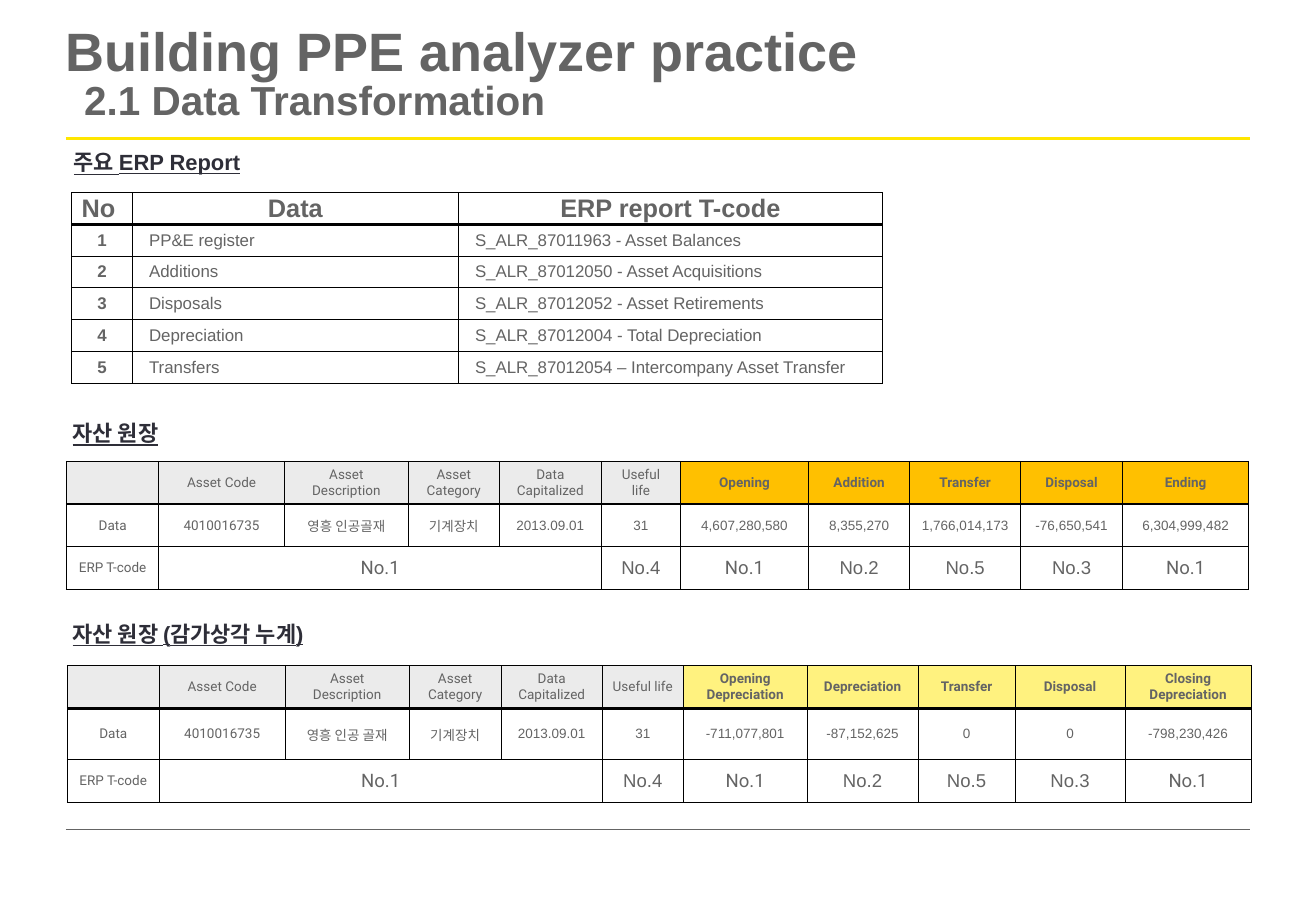
from dataclasses import dataclass

from lxml.etree import SubElement
from pptx import Presentation
from pptx.dml.color import RGBColor
from pptx.enum.shapes import MSO_CONNECTOR
from pptx.enum.text import MSO_ANCHOR, MSO_AUTO_SIZE, PP_ALIGN
from pptx.oxml.ns import qn
from pptx.util import Pt


@dataclass(frozen=True)
class Theme:
    text: str = "646464"
    heading: str = "2E2E38"
    accent: str = "FFE600"
    border: str = "000000"
    white: str = "FFFFFF"
    grey: str = "EBEBEB"
    orange: str = "FFC000"
    yellow: str = "FFF27F"
    sans: str = "Arial"
    label: str = "Roboto"
    title_size: float = 32
    subtitle_size: float = 24
    header_size: float = 15
    heading_size: float = 13
    reference_size: float = 11
    body_size: float = 10
    ledger_size: float = 8
    thin: float = 0.75
    thick: float = 1.5


class ReportSlide:
    def __init__(self, deck, theme):
        self.theme = theme
        self.slide = deck.slides.add_slide(deck.slide_layouts[5])

    def style(self, paragraph, size, face, color, bold=False, align=PP_ALIGN.LEFT):
        paragraph.alignment = align
        font = paragraph.font
        font.name, font.bold = face, bold
        font.color.rgb = RGBColor.from_string(color)
        if size:
            font.size = Pt(size)

    def insets(self, frame, side, end):
        frame.margin_left = frame.margin_right = Pt(side)
        frame.margin_top = frame.margin_bottom = Pt(end)

    def title(self, headline, section, left, top, width, height):
        title = self.slide.shapes.title
        title.left, title.top, title.width, title.height = map(Pt, (left, top, width, height))
        frame = title.text_frame
        frame.word_wrap = True
        frame.auto_size = MSO_AUTO_SIZE.NONE
        frame.vertical_anchor = MSO_ANCHOR.TOP
        self.insets(frame, 0, 0)
        paragraph = frame.paragraphs[0]
        hanging = Pt(10.8)
        properties = paragraph._p.get_or_add_pPr()
        properties.set("marL", str(hanging))
        properties.set("indent", str(-hanging))
        paragraph.line_spacing = 0.85
        self.style(paragraph, None, self.theme.sans, self.theme.text, True)
        first = paragraph.add_run()
        first.text, first.font.size = headline, Pt(self.theme.title_size)
        paragraph.add_line_break()
        second = paragraph.add_run()
        second.text, second.font.size = section, Pt(self.theme.subtitle_size)

    def rule(self, left, right, y, color, weight):
        rule = self.slide.shapes.add_connector(
            MSO_CONNECTOR.STRAIGHT, Pt(left), Pt(y), Pt(right), Pt(y))
        rule.line.color.rgb = RGBColor.from_string(color)
        rule.line.width = Pt(weight)
        SubElement(rule._element.spPr, qn("a:effectLst"))

    def heading(self, text, left, top):
        frame = self.slide.shapes.add_textbox(Pt(left), Pt(top), Pt(233), Pt(26)).text_frame
        frame.word_wrap = True
        frame.vertical_anchor = MSO_ANCHOR.MIDDLE
        self.insets(frame, 5.76, 2.88)
        paragraph = frame.paragraphs[0]
        paragraph.text = text
        paragraph.line_spacing = 0.9
        self.style(paragraph, self.theme.heading_size, self.theme.sans, self.theme.heading, True)
        paragraph.font.underline = True

    def grid(self, left, top, widths, heights):
        grid = self.slide.shapes.add_table(
            len(heights), len(widths), Pt(left), Pt(top),
            Pt(sum(widths)), Pt(sum(heights))).table
        grid.first_row = grid.horz_banding = False
        for column, width in zip(grid.columns, widths):
            column.width = Pt(width)
        for row, height in zip(grid.rows, heights):
            row.height = Pt(height)
        return grid

    def cell(self, cell, text, row, fill, size, face, bold=False,
             align=PP_ALIGN.CENTER, side=5.76, end=3):
        theme = self.theme
        top = theme.thick if row == 1 else theme.thin
        bottom = theme.thick if row == 0 else theme.thin
        edges = {"lnL": theme.thin, "lnR": theme.thin, "lnT": top, "lnB": bottom}
        self.insets(cell, side, end)
        cell.vertical_anchor = MSO_ANCHOR.MIDDLE
        for edge, weight in edges.items():
            line = SubElement(cell._tc.get_or_add_tcPr(), qn("a:" + edge), w=str(Pt(weight)))
            paint = SubElement(line, qn("a:solidFill"))
            SubElement(paint, qn("a:srgbClr"), val=theme.border)
        cell.fill.solid()
        cell.fill.fore_color.rgb = RGBColor.from_string(fill)
        cell.text_frame.text = text
        for paragraph in cell.text_frame.paragraphs:
            self.style(paragraph, size, face, theme.text, bold, align)
            if not text:
                paragraph._p.get_or_add_endParaRPr().set("sz", str(int(size * 100)))

    def report_list(self, left, top, widths, height, rows):
        theme = self.theme
        grid = self.grid(left, top, widths, [height] * len(rows))
        for r, row in enumerate(rows):
            for c, text in enumerate(row):
                listed = r > 0 and c > 0
                self.cell(grid.cell(r, c), text, r, theme.white,
                          theme.body_size if r else theme.header_size, theme.sans,
                          not listed, PP_ALIGN.LEFT if listed else PP_ALIGN.CENTER,
                          side=4.32, end=0)
                if listed:
                    grid.cell(r, c).margin_left = Pt(9.9)

    def ledger(self, left, top, widths, heights, movement_fill, movements, description, amounts):
        theme = self.theme
        rows = [
            ["", "Asset Code", "Asset Description", "Asset Category",
             "Data Capitalized", "Useful life", *movements],
            ["Data", "4010016735", description, "기계장치", "2013.09.01", "31", *amounts],
            ["ERP T-code", "No.1", "", "", "", "No.4", "No.1", "No.2", "No.5", "No.3", "No.1"],
        ]
        grid = self.grid(left, top, widths, heights)
        for r, row in enumerate(rows):
            for c, text in enumerate(row):
                movement = r == 0 and c > 5
                fill = movement_fill if movement else theme.white if r else theme.grey
                labelled = r == 0 or (r == 1 and c < 3) or (r == 2 and (c == 0 or text == "No.1"))
                size = theme.reference_size if text.startswith("No.") else theme.ledger_size
                self.cell(grid.cell(r, c), text, r, fill, size,
                          theme.label if labelled else theme.sans, movement)
        grid.cell(2, 1).merge(grid.cell(2, 4))


def main():
    theme = Theme()
    deck = Presentation()
    deck.slide_width, deck.slide_height = Pt(780), Pt(540)
    page = ReportSlide(deck, theme)
    page.rule(39, 741, 82, theme.accent, theme.thick)
    page.rule(39, 741, 491.5, theme.text, 0.25)
    page.title("Building PPE analyzer practice", "2.1 Data Transformation", 39, 16, 702, 67.5)

    page.heading("주요 ERP Report", 38, 84)
    page.report_list(42.5, 114.2, [36, 193.2, 251.4], 18.84, [
        ("No ", "Data", "ERP report T-code"),
        ("1", "PP&E register", "S_ALR_87011963 - Asset Balances"),
        ("2", "Additions", "S_ALR_87012050 - Asset Acquisitions"),
        ("3", "Disposals", "S_ALR_87012052 - Asset Retirements"),
        ("4", "Depreciation", "S_ALR_87012004 - Total Depreciation"),
        ("5", "Transfers", "S_ALR_87012054 – Intercompany Asset Transfer"),
    ])

    page.heading("자산 원장", 37.4, 244.5)
    page.ledger(
        39.4, 273.5, [54.8, 74.4, 73.5, 53.9, 60.6, 46.8, 76, 59.9, 65.8, 60.4, 74.8],
        [25.3] * 3, theme.orange,
        ["Opening", "Addition", "Transfer", "Disposal", "Ending"], "영흥 인공골재",
        ["4,607,280,580", "8,355,270", "1,766,014,173", "-76,650,541", "6,304,999,482"])

    page.heading("자산 원장 (감가상각 누계)", 37.4, 363.5)
    page.ledger(
        39.9, 394.6, [54.5, 74.7, 73.5, 54.5, 60, 48, 73.4, 65.8, 57.5, 65.2, 74.7],
        [25.4, 30.4, 25.1], theme.yellow,
        ["Opening\nDepreciation", "Depreciation", "Transfer", "Disposal",
         "Closing Depreciation"], "영흥 인공 골재",
        ["-711,077,801", "-87,152,625", "0", "0", "-798,230,426"])
    deck.save("out.pptx")


if __name__ == "__main__":
    main()
